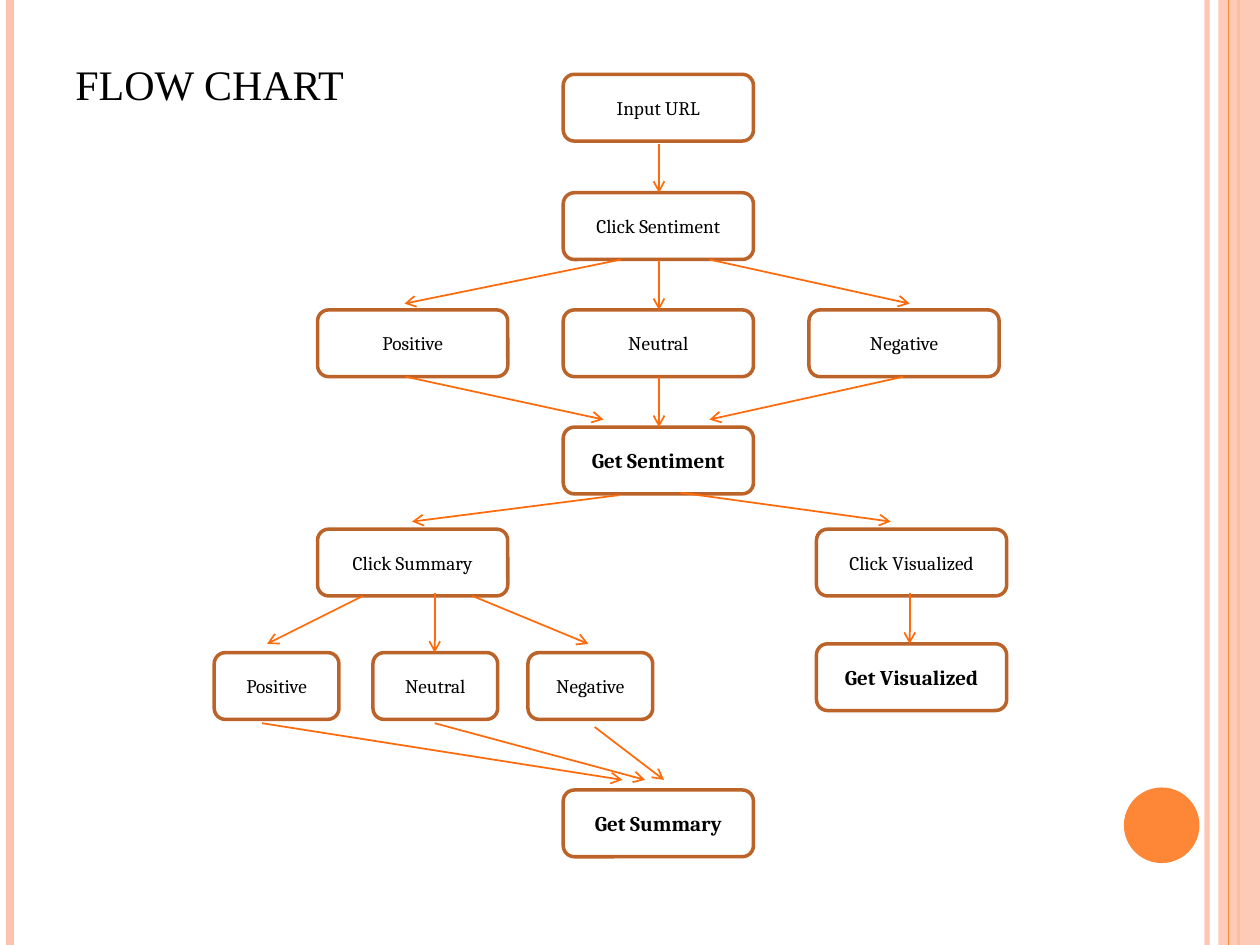
from typing import NamedTuple

from lxml import etree
from pptx import Presentation
from pptx.dml.color import RGBColor
from pptx.enum import shapes as kinds, text as txt
from pptx.oxml import ns
from pptx.util import Inches, Pt

ORANGE, PINK, BROWN, ARROW = "FE8637", "FEC3AE", "BC6329", "FF6B0A"
WIDE, NARROW, BOX_HEIGHT = 1.51, 0.99, 0.53


class Step(NamedTuple):
    label: str
    left: float
    top: float
    width: float = WIDE
    result: bool = False


class Link(NamedTuple):
    x1: float
    y1: float
    x2: float
    y2: float


class Stripe(NamedTuple):
    x: float
    color: str
    weight: float
    opacity: int = 100


LEFT, CENTER, RIGHT, VISUAL = 2.52, 4.47, 6.42, 6.48
SENTIMENTS, SUMMARY, DETAILS = 2.46, 4.2, 5.18

STEPS = [
    Step("Input URL", CENTER, 0.59),
    Step("Click Sentiment", CENTER, 1.53),
    Step("Positive", LEFT, SENTIMENTS),
    Step("Neutral", CENTER, SENTIMENTS),
    Step("Negative", RIGHT, SENTIMENTS),
    Step("Get Sentiment", CENTER, 3.39, result=True),
    Step("Click Summary", LEFT, SUMMARY),
    Step("Click Visualized", VISUAL, SUMMARY),
    Step("Get Visualized", VISUAL, 5.11, result=True),
    Step("Positive", 1.7, DETAILS, NARROW),
    Step("Neutral", 2.96, DETAILS, NARROW),
    Step("Negative", 4.19, DETAILS, NARROW),
    Step("Get Summary", CENTER, 6.27, result=True),
]

LINKS = [
    Link(5.23, 1.14, 5.23, 1.53),
    # Click Sentiment to the three sentiments
    Link(4.93, 2.06, 3.21, 2.41),
    Link(5.23, 2.06, 5.23, 2.46),
    Link(5.63, 2.06, 7.22, 2.41),
    # The three sentiments to Get Sentiment
    Link(3.22, 2.99, 4.79, 3.33),
    Link(5.23, 2.99, 5.23, 3.39),
    Link(7.17, 2.99, 5.63, 3.33),
    # Get Sentiment to the two branches
    Link(4.91, 3.93, 3.27, 4.14),
    Link(5.4, 3.91, 7.07, 4.14),
    # Click Summary to its details, Click Visualized to its result
    Link(2.88, 4.73, 2.12, 5.11),
    Link(3.45, 4.71, 3.45, 5.18),
    Link(3.75, 4.73, 4.67, 5.11),
    Link(7.22, 4.71, 7.22, 5.11),
    # Details to Get Summary
    Link(2.08, 5.74, 4.94, 6.19),
    Link(3.45, 5.74, 5.12, 6.19),
    Link(4.72, 5.77, 5.27, 6.19),
]

OUTER_STRIPES = [
    Stripe(9.58, PINK, 3, 93),
    Stripe(0.08, PINK, 4.5),
    Stripe(9.83, ORANGE, 1.5),
]
EDGE_STRIPE = Stripe(9.75, ORANGE, 0.75)


def paint(color_format, color: str, opacity: int = 100) -> None:
    """Set a solid fill, on a shape's or a line's fill, with its opacity in percent."""
    color_format.solid()
    color_format.fore_color.rgb = RGBColor.from_string(color)
    if opacity < 100:
        # A fill's colour element is reached through its parent's solidFill
        rgb = color_format._xPr.find(ns.qn("a:solidFill"))[0]
        etree.SubElement(rgb, ns.qn("a:alpha"), val=str(opacity * 1000))


def add_line(slide, ends: Link, color: str, weight: float, opacity: int = 100):
    line = slide.shapes.add_connector(
        kinds.MSO_CONNECTOR.STRAIGHT, *(Inches(value) for value in ends))
    line.line.width = Pt(weight)
    paint(line.line.fill, color, opacity)
    etree.SubElement(line._element.spPr, ns.qn("a:effectLst"))
    return line


def add_stripe(slide, stripe: Stripe) -> None:
    add_line(slide, Link(stripe.x, 0, stripe.x, 7.5),
             stripe.color, stripe.weight, stripe.opacity)


def add_arrow(slide, link: Link) -> None:
    arrow = add_line(slide, link, ARROW, 1)
    etree.SubElement(arrow.line._get_or_add_ln(), ns.qn("a:tailEnd"), type="arrow")


def add_filled(slide, preset, left: float, top: float, width: float,
               height: float, color: str, opacity: int = 100):
    """Add a flat preset shape without an outline."""
    shape = slide.shapes.add_shape(
        preset, Inches(left), Inches(top), Inches(width), Inches(height))
    shape.shadow.inherit = False
    paint(shape.fill, color, opacity)
    shape.line.fill.background()
    return shape


def add_run(paragraph, words: str, font: str, size: float, bold: bool = False) -> None:
    run = paragraph.add_run()
    run.text = words
    run.font.name = font
    run.font.size = Pt(size)
    run.font.bold = bold
    paint(run.font.fill, "000000")


def add_step(slide, step: Step) -> None:
    box = add_filled(slide, kinds.MSO_SHAPE.ROUNDED_RECTANGLE,
                     step.left, step.top, step.width, BOX_HEIGHT, "FFFFFF")
    paint(box.line.fill, BROWN)
    box.line.width = Pt(2)
    frame = box.text_frame
    frame.word_wrap = True
    frame.vertical_anchor = txt.MSO_ANCHOR.MIDDLE
    paragraph = frame.paragraphs[0]
    paragraph.alignment = txt.PP_ALIGN.CENTER
    add_run(paragraph, step.label, "Cambria", 12 if step.result else 11, step.result)


def add_title(slide, words: str) -> None:
    title = slide.shapes.add_textbox(Inches(0.5), Inches(0.3), Inches(8.17), Inches(0.61))
    frame = title.text_frame
    frame.word_wrap = True
    frame.vertical_anchor = txt.MSO_ANCHOR.BOTTOM
    add_run(frame.paragraphs[0], words, "Times New Roman", 24)


def add_decoration(slide) -> None:
    for stripe in OUTER_STRIPES:
        add_stripe(slide, stripe)
    add_filled(slide, kinds.MSO_SHAPE.RECTANGLE, 9.67, 0, 0.33, 7.5, PINK, 87)
    add_stripe(slide, EDGE_STRIPE)
    add_filled(slide, kinds.MSO_SHAPE.OVAL, 8.92, 6.25, 0.6, 0.6, ORANGE)


def main() -> None:
    deck = Presentation()
    deck.slide_width, deck.slide_height = Inches(10), Inches(7.5)
    slide = deck.slides.add_slide(deck.slide_layouts[6])
    add_decoration(slide)
    add_title(slide, "FLOW CHART")
    for step in STEPS:
        add_step(slide, step)
    for link in LINKS:
        add_arrow(slide, link)
    deck.save("out.pptx")


if __name__ == "__main__":
    main()
